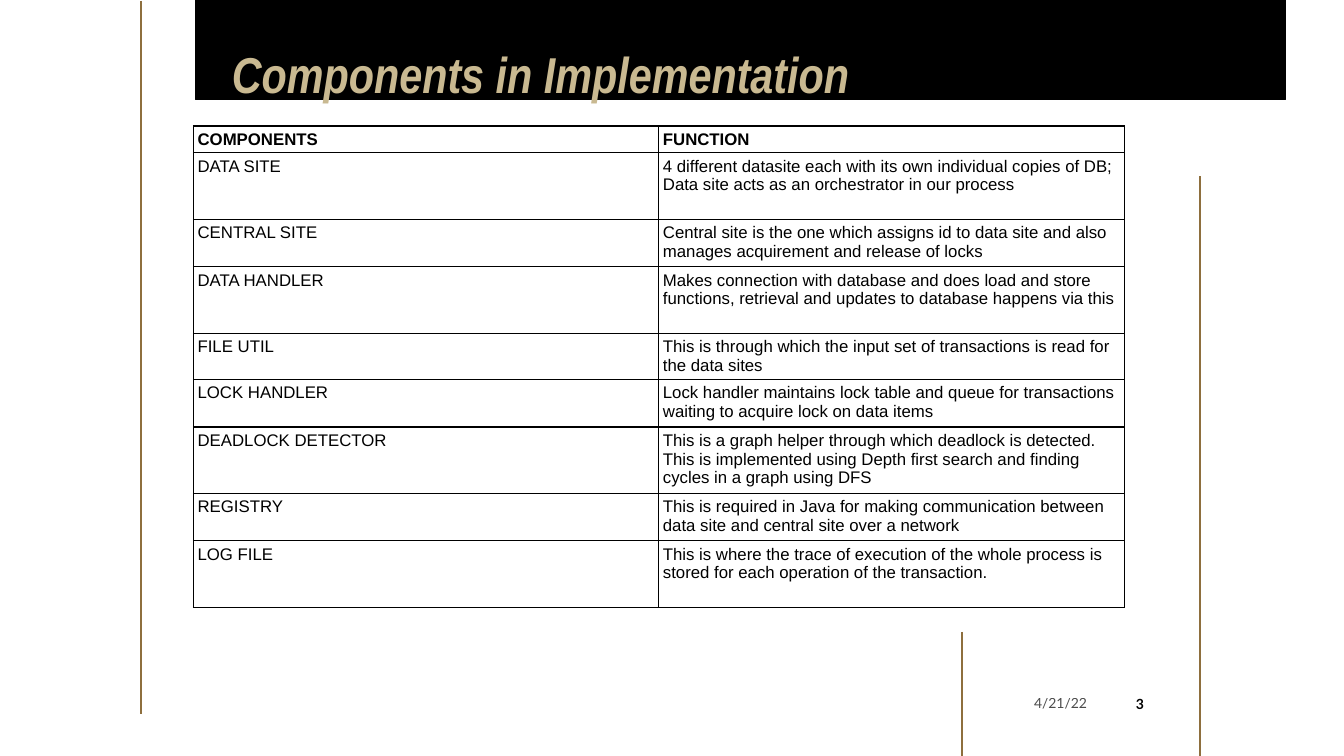
from lxml.etree import SubElement
from pptx import Presentation
from pptx.dml.color import RGBColor
from pptx.enum.shapes import MSO_CONNECTOR, MSO_SHAPE
from pptx.enum.text import MSO_ANCHOR, PP_ALIGN
from pptx.oxml import parse_xml
from pptx.oxml.ns import nsdecls, qn
from pptx.util import Inches, Pt

BLACK, GOLD, BRONZE = "000000", "C9B991", "8E6F3E"

ROWS = [
    (0.26, "COMPONENTS", "FUNCTION"),
    (0.66, "DATA SITE", "4 different datasite each with its own individual copies of DB; "
     "Data site acts as an orchestrator in our process"),
    (0.47, "CENTRAL SITE", "Central site is the one which assigns id to data site and also "
     "manages acquirement and release of locks"),
    (0.66, "DATA HANDLER", "Makes connection with database and does load and store functions, "
     "retrieval and updates to database happens via this"),
    (0.46, "FILE UTIL", "This is through which the input set of transactions is read for "
     "the data sites"),
    (0.47, "LOCK HANDLER", "Lock handler maintains lock table and queue for transactions "
     "waiting to acquire lock on data items"),
    (0.66, "DEADLOCK DETECTOR", "This is a graph helper through which deadlock is detected. "
     "This is implemented using Depth first search and finding cycles in a graph using DFS"),
    (0.47, "REGISTRY", "This is required in Java for making communication between "
     "data site and central site over a network"),
    (0.66, "LOG FILE", "This is where the trace of execution of the whole process is "
     "stored for each operation of the transaction."),
]


def color(value):
    return RGBColor.from_string(value)


def inches(*values):
    return [Inches(value) for value in values]


class SlideBuilder:
    def __init__(self, page):
        self.page = page
        self.shapes = page.shapes

    def add_text(self, frame, text, font, size, hue=BLACK, bold=False, italic=False,
                 align=PP_ALIGN.LEFT):
        para = frame.paragraphs[0]
        para.alignment = align
        span = para.add_run()
        span.text = text
        span.font.name = font
        span.font.size = Pt(size)
        span.font.bold = bold
        span.font.italic = italic
        span.font.color.rgb = color(hue)
        return span

    def frame(self, box, anchor, margins):
        frame = box.text_frame
        frame.word_wrap = True
        frame.vertical_anchor = anchor
        (frame.margin_left, frame.margin_top,
         frame.margin_right, frame.margin_bottom) = inches(*margins)
        return frame

    def band(self, place):
        box = self.shapes.add_shape(MSO_SHAPE.RECTANGLE, *inches(*place))
        box.shadow.inherit = False
        box.fill.solid()
        box.fill.fore_color.rgb = color(BLACK)
        box.line.color.rgb = color(BLACK)
        box.line.width = Pt(1)

    def rule(self, x, top, bottom):
        line = self.shapes.add_connector(MSO_CONNECTOR.STRAIGHT, *inches(x, top, x, bottom))
        line.line.color.rgb = color(BRONZE)
        line.line.width = Pt(1)
        SubElement(line._element.spPr, qn("a:effectLst"))

    def title(self, place, text):
        box = self.shapes.title
        self.shapes._spTree.append(box._element)
        box.left, box.top, box.width, box.height = inches(*place)
        frame = self.frame(box, MSO_ANCHOR.BOTTOM, (0, 0, 0, 0))
        self.add_text(frame, text, "Arial Narrow", 36, GOLD, bold=True, italic=True)
        frame.paragraphs[0].line_spacing = 0.9

    def border(self, cell):
        properties = cell._tc.get_or_add_tcPr()
        for index, side in enumerate(("lnL", "lnR", "lnT", "lnB")):
            properties.insert(index, parse_xml(
                f'<a:{side} {nsdecls("a")} w="{Pt(1)}"><a:solidFill>'
                f'<a:srgbClr val="{BLACK}"/></a:solidFill></a:{side}>'))

    def table(self, place, rows):
        table = self.shapes.add_table(len(rows), 2, *inches(*place)).table
        table.horz_banding = False
        for column in table.columns:
            column.width = Inches(place[2] / 2)
        for index, (height, *texts) in enumerate(rows):
            table.rows[index].height = Inches(height)
            for cell, text in zip(table.rows[index].cells, texts):
                cell.fill.background()
                cell.margin_left = cell.margin_right = Inches(0.04)
                cell.margin_top = cell.margin_bottom = Inches(0.04)
                self.border(cell)
                self.add_text(cell.text_frame, text, "Arial", 12, bold=index == 0)

    def date(self, place, text):
        box = self.shapes.add_textbox(*inches(*place))
        frame = self.frame(box, MSO_ANCHOR.MIDDLE, (0.1, 0.05, 0.1, 0.05))
        span = self.add_text(frame, text, "Lato", 10, align=PP_ALIGN.RIGHT)
        hue = span._r.rPr.find(".//" + qn("a:srgbClr"))
        SubElement(hue, qn("a:alpha"), val="70000")

    def number(self, place, text):
        box = self.shapes.add_shape(MSO_SHAPE.OVAL, *inches(*place))
        box.shadow.inherit = False
        box.fill.background()
        box.line.fill.background()
        frame = self.frame(box, MSO_ANCHOR.MIDDLE, (0.02, 0.05, 0.02, 0.05))
        self.add_text(frame, text, "Lato", 10, bold=True, align=PP_ALIGN.CENTER)


def main():
    deck = Presentation()
    deck.slide_width, deck.slide_height = inches(13.33, 7.5)
    builder = SlideBuilder(deck.slides.add_slide(deck.slide_layouts[5]))
    builder.band((1.94, 0, 10.81, 0.99))
    for x, top, bottom in ((11.9, 1.75, 7.5), (1.4, 0.01, 7.08), (9.54, 6.27, 7.5)):
        builder.rule(x, top, bottom)
    builder.title((2.3, 0.48, 8.74, 0.56), "Components in Implementation")
    builder.table((1.92, 1.25, 9.23, 4.81), ROWS)
    builder.date((9.76, 6.8, 1.12, 0.35), "4/21/22")
    builder.number((11.04, 6.78, 0.53, 0.4), "3")
    deck.save("out.pptx")


if __name__ == "__main__":
    main()
